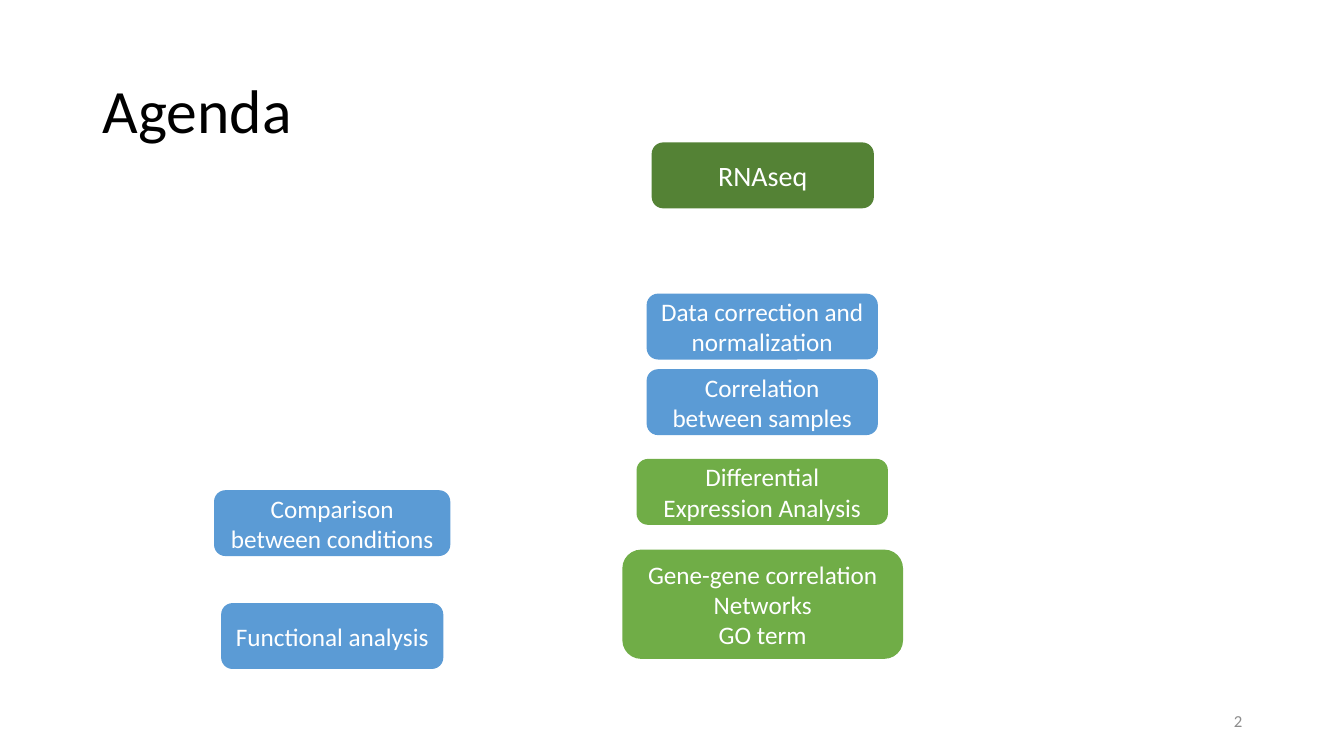
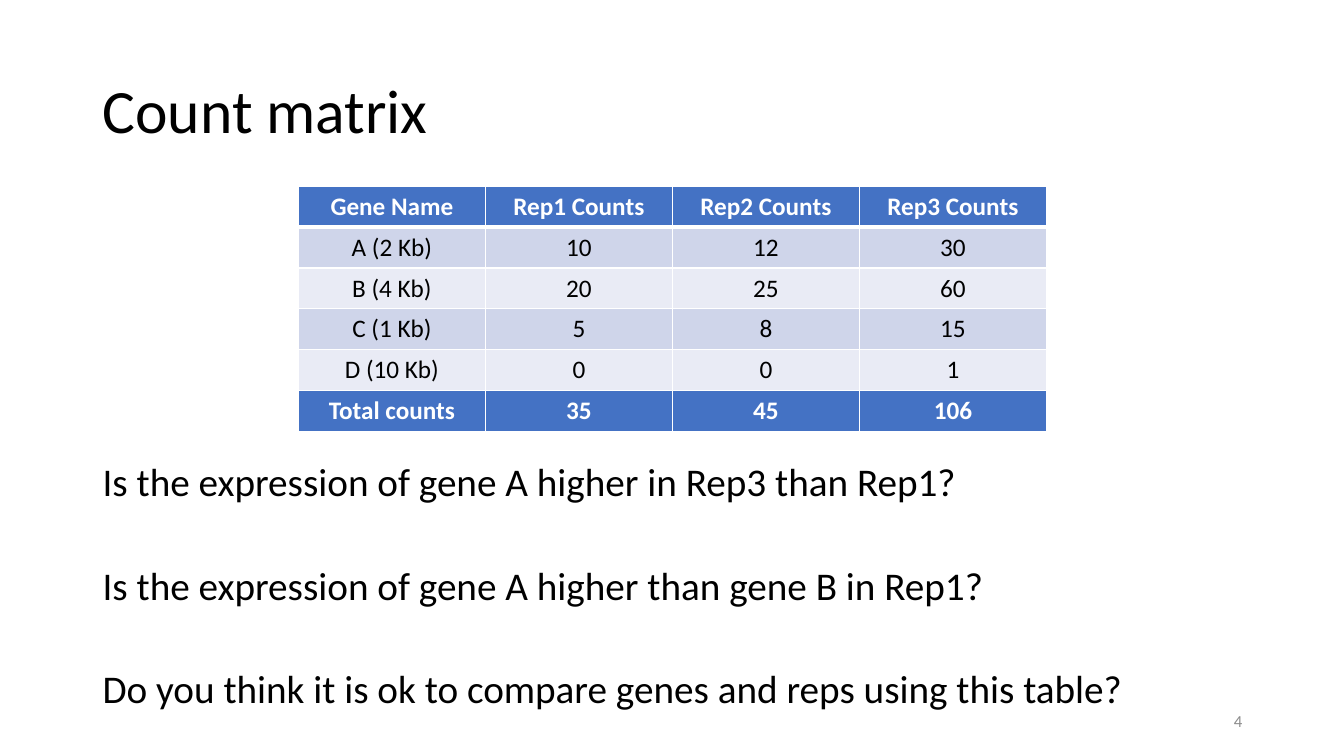
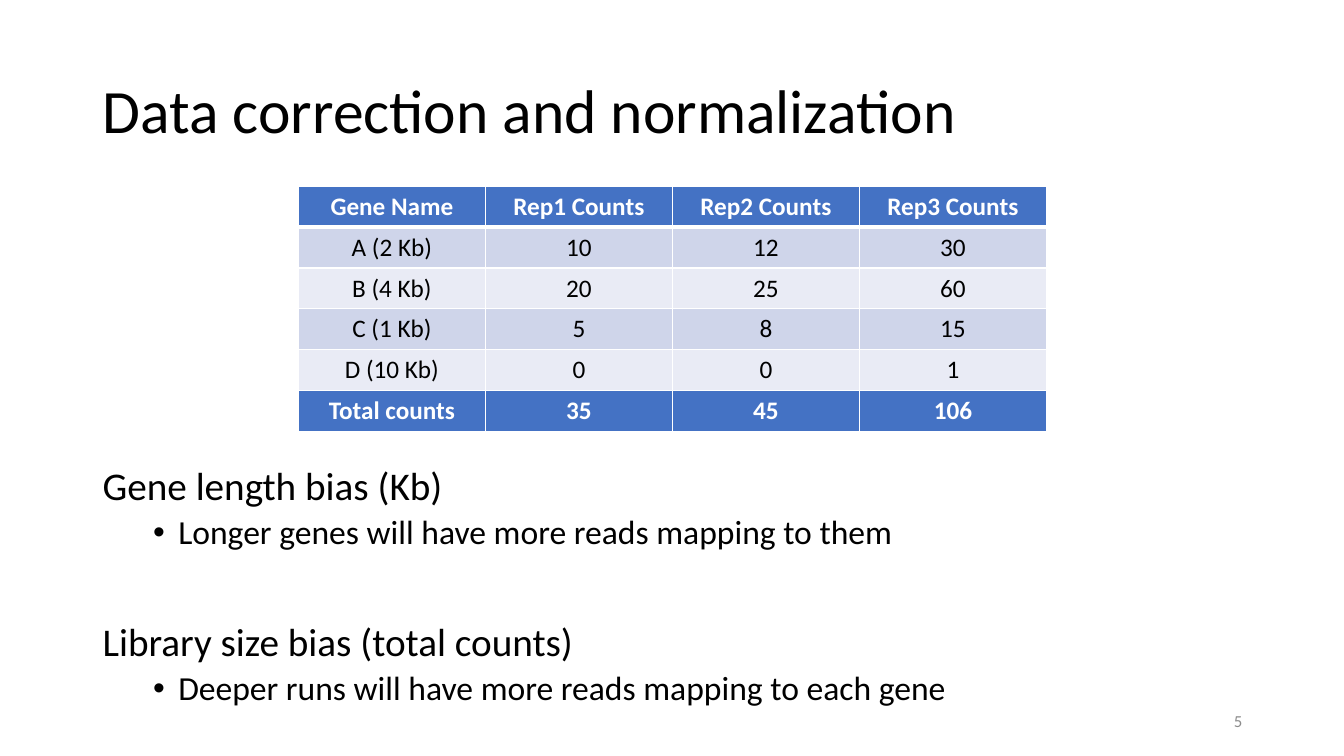
from pptx import Presentation
from pptx.dml.color import RGBColor
from pptx.enum.shapes import MSO_SHAPE as SHAPE
from pptx.enum.text import MSO_ANCHOR as ANCHOR, PP_ALIGN as ALIGN
from pptx.oxml.ns import qn
from pptx.util import Emu, Pt
from lxml.etree import SubElement

PX = 9144  # EMU in one px, 100 px to the inch
WIDTH, HEIGHT = 1333, 750
MARGIN, TEXT_W = 92, 1150

BLACK = RGBColor(0x00, 0x00, 0x00)
WHITE = RGBColor(0xFF, 0xFF, 0xFF)
GREY = RGBColor(0x8C, 0x8C, 0x8C)
BLUE = RGBColor(0x5B, 0x9B, 0xD5)
GREEN = RGBColor(0x70, 0xAD, 0x47)
DARK_GREEN = RGBColor(0x54, 0x82, 0x35)
HEAD_BLUE = RGBColor(0x44, 0x72, 0xC4)
BANDS = (RGBColor(0xCF, 0xD5, 0xEA), RGBColor(0xE9, 0xEB, 0xF5))


def px(*lengths):
    return [Emu(n * PX) for n in lengths]


class Deck:
    """Holds the style and the slide being built."""
    font = "Calibri"

    def __init__(self):
        self.prs = Presentation()
        self.prs.slide_width, self.prs.slide_height = px(WIDTH, HEIGHT)
        self.s = None

    def slide(self, title, number):
        self.s = self.prs.slides.add_slide(self.prs.slide_layouts[6])
        tf = self.frame(MARGIN, 40, TEXT_W, 145, ANCHOR.MIDDLE)
        self.para(tf, title, 44, spacing=0.9)
        tf = self.frame(942, 695, 300, 40, ANCHOR.MIDDLE)
        self.para(tf, str(number), 12, GREY, ALIGN.RIGHT)

    def frame(self, x, y, w, h, anchor=ANCHOR.TOP):
        tf = self.s.shapes.add_textbox(*px(x, y, w, h)).text_frame
        tf.word_wrap = True
        tf.vertical_anchor = anchor
        return tf

    def para(self, tf, text, size, color=BLACK, align=ALIGN.LEFT,
             bold=False, spacing=1.0, before=0):
        p = tf.paragraphs[0]
        if p.runs:
            p = tf.add_paragraph()
        p.alignment, p.line_spacing, p.space_before = align, spacing, Pt(before)
        r = p.add_run()
        r.text = text
        f = r.font
        f.name, f.size, f.bold, f.color.rgb = self.font, Pt(size), bold, color
        return p

    def bullet(self, tf, text, size, **style):
        pPr = self.para(tf, text, size, **style)._p.get_or_add_pPr()
        pPr.set("lvl", "1")
        pPr.set("marL", str(75 * PX))
        pPr.set("indent", str(-25 * PX))
        SubElement(pPr, qn("a:buFont"), typeface="Arial")
        SubElement(pPr, qn("a:buChar"), char="•")

    def box(self, center, y, w, h, color, *lines, size=18):
        """Rounded box centred on a column."""
        sp = self.s.shapes.add_shape(SHAPE.ROUNDED_RECTANGLE,
                                     *px(center - w // 2, y, w, h))
        sp.shadow.inherit = False
        sp.fill.solid()
        sp.fill.fore_color.rgb = sp.line.color.rgb = color
        sp.line.width = Pt(1)
        tf = sp.text_frame
        tf.word_wrap = True
        tf.vertical_anchor = ANCHOR.MIDDLE
        for line in lines:
            self.para(tf, line, size, WHITE, ALIGN.CENTER)

    def border(self, cell, **widths):
        tcPr = cell._tc.get_or_add_tcPr()
        for side in "LRTB":
            ln = SubElement(tcPr, qn("a:ln" + side), w=str(Pt(widths.get(side, 1))))
            fill = SubElement(ln, qn("a:solidFill"))
            SubElement(fill, qn("a:srgbClr"), val=str(WHITE))

    def table(self, x, y, w, h, rows):
        """Table whose first and last rows stand out from the bands."""
        table = self.s.shapes.add_table(len(rows), len(rows[0]), *px(x, y, w, h)).table
        last = len(rows) - 1
        for i, row in enumerate(rows):
            strong = i in (0, last)
            for j, text in enumerate(row):
                cell = table.cell(i, j)
                self.border(cell, T=3 if i == 1 else 1, B=3 if i == 0 else 1)
                cell.fill.solid()
                cell.fill.fore_color.rgb = HEAD_BLUE if strong else BANDS[(i - 1) % 2]
                self.para(cell.text_frame, text, 18, WHITE if strong else BLACK,
                          ALIGN.CENTER, bold=strong)


COUNTS = [
    ("Gene Name", "Rep1 Counts", "Rep2 Counts", "Rep3 Counts"),
    ("A (2 Kb)", "10", "12", "30"),
    ("B (4 Kb)", "20", "25", "60"),
    ("C (1 Kb)", "5", "8", "15"),
    ("D (10 Kb)", "0", "0", "1"),
    ("Total counts", "35", "45", "106"),
]


def agenda(deck):
    deck.slide("Agenda", 2)
    left, main_col = 329, 756
    deck.box(main_col, 142, 219, 64, DARK_GREEN, "RNAseq", size=20)
    deck.box(left, 487, 233, 64, BLUE, "Comparison between conditions")
    deck.box(left, 599, 219, 64, BLUE, "Functional analysis")
    deck.box(main_col, 456, 248, 64, GREEN, "Differential Expression Analysis")
    deck.box(main_col, 546, 277, 107, GREEN,
             "Gene-gene correlation Networks", "GO term")
    deck.box(main_col, 292, 228, 64, BLUE, "Data correction and normalization")
    deck.box(main_col, 367, 228, 64, BLUE, "Correlation between samples")


def counts_slide(deck, title, number):
    """Title, count table and an empty body frame below it."""
    deck.slide(title, number)
    tf = deck.frame(MARGIN, 458, TEXT_W, 263)
    deck.table(296, 185, 742, 243, COUNTS)
    return tf


def count_matrix(deck):
    tf = counts_slide(deck, "Count matrix", 4)
    questions = ("Is the expression of gene A higher in Rep3 than Rep1?",
                 "Is the expression of gene A higher than gene B in Rep1?",
                 "Do you think it is ok to compare genes and reps using this table?")
    for i, question in enumerate(questions):
        deck.para(tf, question, 28, spacing=0.8, before=47 if i else 10)


def normalization(deck):
    tf = counts_slide(deck, "Data correction and normalization", 5)
    biases = (("Gene length bias (Kb)",
               "Longer genes will have more reads mapping to them"),
              ("Library size bias (total counts)",
               "Deeper runs will have more reads mapping to each gene"))
    for i, (bias, effect) in enumerate(biases):
        deck.para(tf, bias, 28, spacing=0.9, before=50 if i else 10)
        deck.bullet(tf, effect, 24, spacing=0.9, before=5)


def main():
    deck = Deck()
    agenda(deck)
    count_matrix(deck)
    normalization(deck)
    deck.prs.save("out.pptx")


if __name__ == "__main__":
    main()
